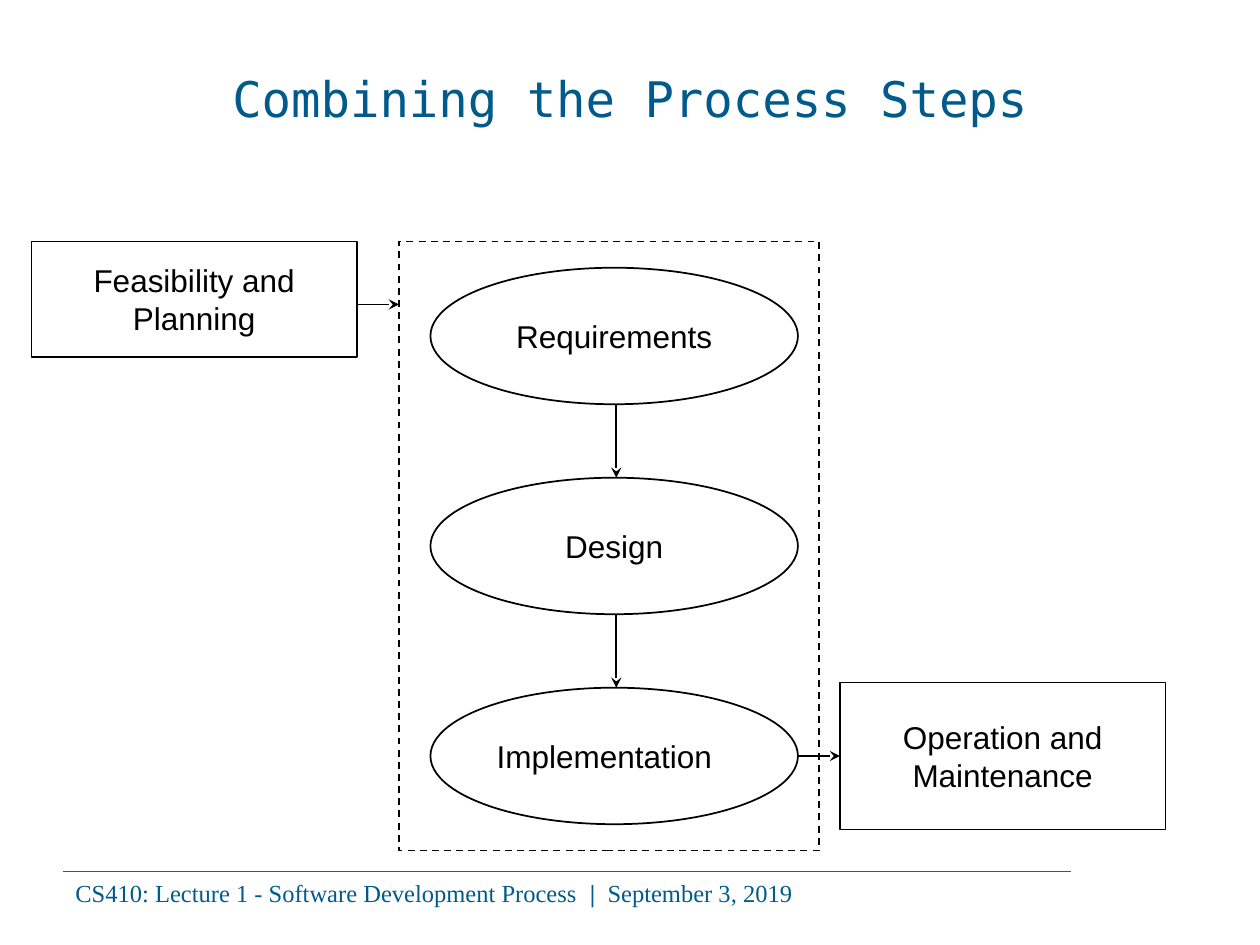
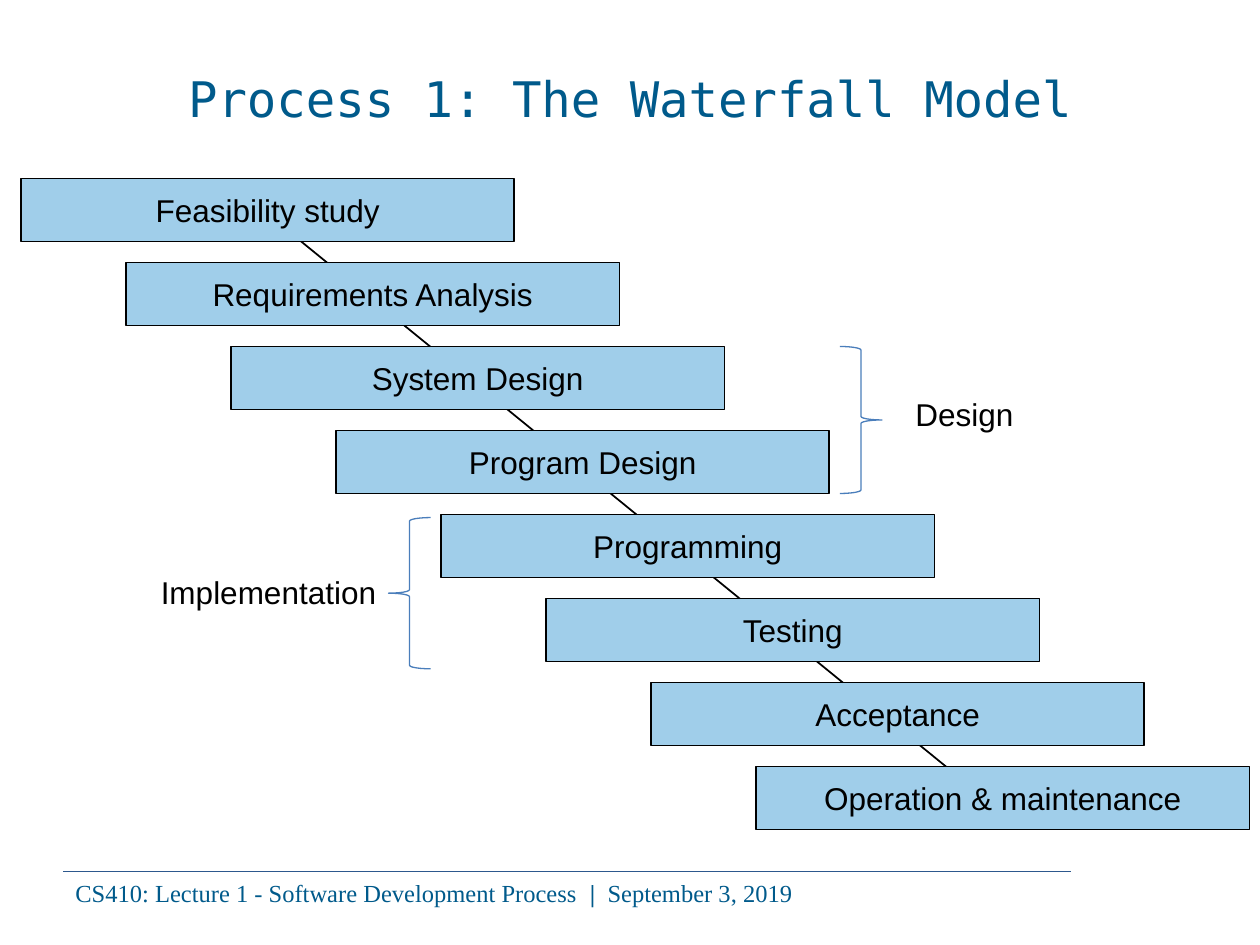
"""Builds two lecture slides on software processes, laid out on a grid of twelfths of an inch."""
from lxml import etree
from pptx import Presentation
from pptx.dml.color import RGBColor
from pptx.enum.dml import MSO_LINE
from pptx.enum.shapes import MSO_CONNECTOR, MSO_SHAPE
from pptx.enum.text import MSO_ANCHOR, PP_ALIGN
from pptx.oxml.ns import qn
from pptx.util import Inches, Pt

RECTANGLE, ELLIPSE = MSO_SHAPE.RECTANGLE, MSO_SHAPE.OVAL
LEFT_BRACE, RIGHT_BRACE = MSO_SHAPE.LEFT_BRACE, MSO_SHAPE.RIGHT_BRACE
STRAIGHT, DASH = MSO_CONNECTOR.STRAIGHT, MSO_LINE.DASH
LEFT, CENTER, RIGHT = PP_ALIGN.LEFT, PP_ALIGN.CENTER, PP_ALIGN.RIGHT
TOP, MIDDLE = MSO_ANCHOR.TOP, MSO_ANCHOR.MIDDLE
LEFT_SIDE = 1

COLORS = {"title": "005A8B", "rule": "2D588D", "ink": "000000",
          "step": "A0CEEA", "brace": "4A7EBB"}
TITLE_FONT, BODY_FONT, FOOTER_FONT = "DejaVu Sans Mono", "Arial", "Times New Roman"

FOOTER = [("CS410: Lecture 1 - Software Development Process ", False),
          (" |  ", True), ("September 3, 2019", False)]

COMBINING_TITLE = "Combining the Process Steps"
BEFORE, AFTER = "Feasibility and Planning", "Operation and\nMaintenance"
CORE_STEPS = [("Requirements", CENTER), ("Design", CENTER), ("Implementation", LEFT)]
ELLIPSE_LEFT, ELLIPSE_TOP, ELLIPSE_WIDTH, ELLIPSE_HEIGHT = 41, 25.5, 35, 13
ELLIPSE_PITCH, ARROW_COLUMN = 20, 58.7

WATERFALL_TITLE = "Process 1: The Waterfall Model"
WATERFALL = ["Feasibility study", "Requirements Analysis", "System Design",
             "Program Design", "Programming", "Testing", "Acceptance",
             "Operation & maintenance"]
STAIR_LEFT, STAIR_TOP, STAIR_WIDTH, STAIR_HEIGHT = 2, 17, 47, 6
STAIR_RUN, STAIR_RISE = 10, 8
GROUPS = [
    ("Design", LEFT, (86, 37, 24, 4.8), RIGHT_BRACE, (80, 33, 4, 14)),
    ("Implementation", RIGHT, (13.5, 54, 23.5, 4.8), LEFT_BRACE, (37, 49.3, 4, 14.4)),
]


def grid(*cells):
    return [Inches(cell / 12) for cell in cells]


def color(name):
    return RGBColor.from_string(COLORS[name])


def style(font, name, size, ink):
    font.name, font.size = name, Pt(size)
    font.color.rgb = color(ink)


def write(shape, text, align=CENTER, anchor=MIDDLE, wrap=False):
    frame = shape.text_frame
    frame.text = text
    frame.word_wrap, frame.vertical_anchor = wrap, anchor
    for para in frame.paragraphs:
        para.alignment = align
        style(para.font, BODY_FONT, 18, "ink")


def add_outline(page, kind, cells, fill=None, ink="ink", width=1):
    shape = page.shapes.add_shape(kind, *grid(*cells))
    shape.shadow.inherit = False
    if fill:
        shape.fill.solid()
        shape.fill.fore_color.rgb = color(fill)
    else:
        shape.fill.background()
    shape.line.color.rgb = color(ink)
    shape.line.width = Pt(width)
    return shape


def add_line(page, cells, ink="ink", width=1, arrow=False):
    line = page.shapes.add_connector(STRAIGHT, *grid(*cells))
    line.line.color.rgb = color(ink)
    line.line.width = Pt(width)
    if arrow:
        etree.SubElement(line.line._get_or_add_ln(), qn("a:tailEnd"), type="stealth")
    etree.SubElement(line._element.spPr, qn("a:effectLst"))
    return line


def add_page(deck, heading):
    page = deck.slides.add_slide(deck.slide_layouts[5])
    title = page.shapes.title
    title.left, title.top, title.width, title.height = grid(6, 3.6, 108, 11.4)
    title.text_frame.text = heading
    title.text_frame.vertical_anchor = MIDDLE
    para = title.text_frame.paragraphs[0]
    para.alignment = CENTER
    style(para.font, TITLE_FONT, 28, "title")

    add_line(page, (6, 83, 102, 83), "rule", 0.5)
    footer = page.shapes.add_textbox(*grid(6, 83, 96, 4))
    footer.text_frame.word_wrap = True
    para = footer.text_frame.paragraphs[0]
    style(para.font, FOOTER_FONT, 14, "title")
    for text, bold in FOOTER:
        span = para.add_run()
        span.text = text
        span.font.bold = bold
    return page


def build_combining(deck):
    page = add_page(deck, COMBINING_TITLE)
    frame = add_outline(page, RECTANGLE, (38, 23, 40, 58))
    frame.line.dash_style = DASH
    write(add_outline(page, RECTANGLE, (3, 23, 31, 11)), BEFORE, wrap=True)
    operation = add_outline(page, RECTANGLE, (80, 65, 31, 14))
    write(operation, AFTER)

    for row, (name, align) in enumerate(CORE_STEPS):
        top = ELLIPSE_TOP + row * ELLIPSE_PITCH
        cells = (ELLIPSE_LEFT, top, ELLIPSE_WIDTH, ELLIPSE_HEIGHT)
        write(add_outline(page, ELLIPSE, cells), name, align)
        if row:
            start = top - ELLIPSE_PITCH + ELLIPSE_HEIGHT
            add_line(page, (ARROW_COLUMN, start, ARROW_COLUMN, top), arrow=True)

    add_line(page, (34, 29, 38, 29), arrow=True)
    leaving = add_line(page, (76, 72, 80, 72), arrow=True)
    leaving.end_connect(operation, LEFT_SIDE)


def build_waterfall(deck):
    page = add_page(deck, WATERFALL_TITLE)
    add_line(page, (25, 20, 95, 77))
    for index, name in enumerate(WATERFALL):
        cells = (STAIR_LEFT + index * STAIR_RUN, STAIR_TOP + index * STAIR_RISE,
                 STAIR_WIDTH, STAIR_HEIGHT)
        write(add_outline(page, RECTANGLE, cells, fill="step"), name)
    for name, align, label_cells, brace, brace_cells in GROUPS:
        add_outline(page, brace, brace_cells, ink="brace", width=0.75)
        label = page.shapes.add_textbox(*grid(*label_cells))
        write(label, name, align, TOP, wrap=True)


def main():
    deck = Presentation()
    deck.slide_width, deck.slide_height = Inches(10), Inches(7.5)
    build_combining(deck)
    build_waterfall(deck)
    deck.save("out.pptx")


if __name__ == "__main__":
    main()
